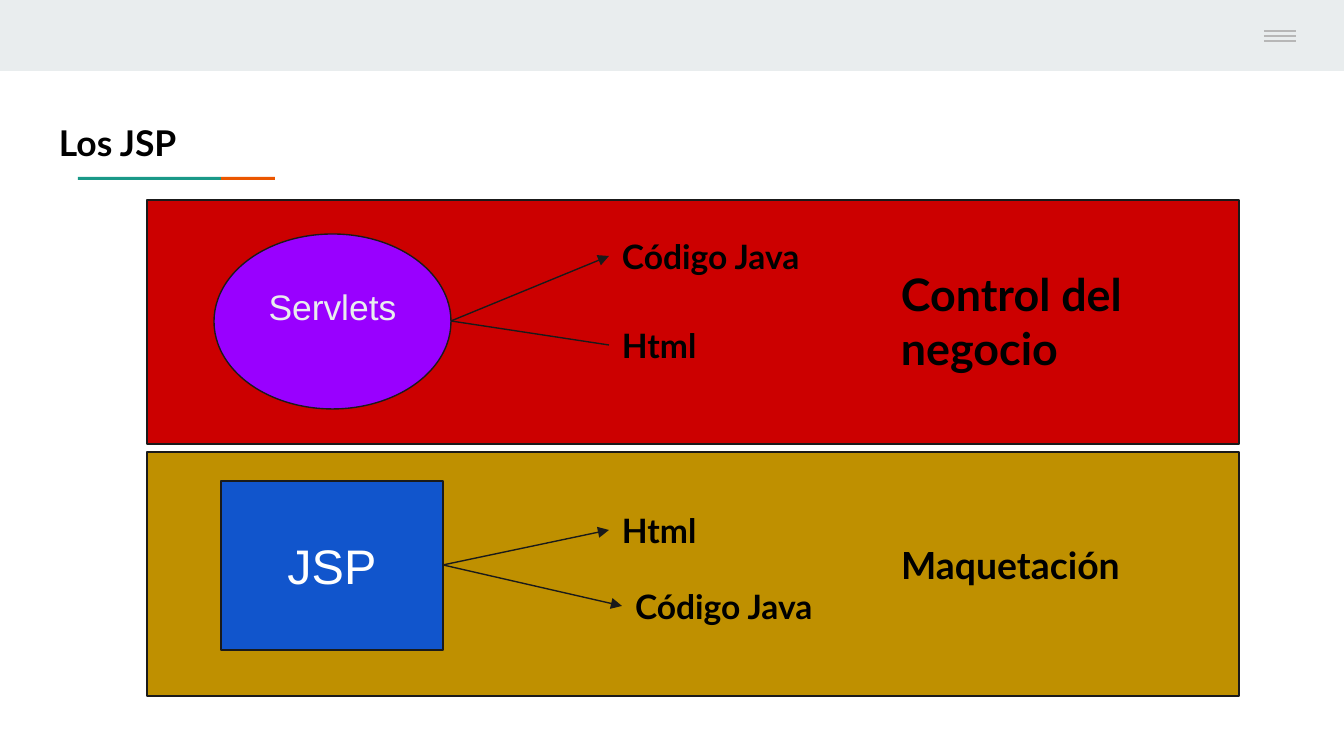
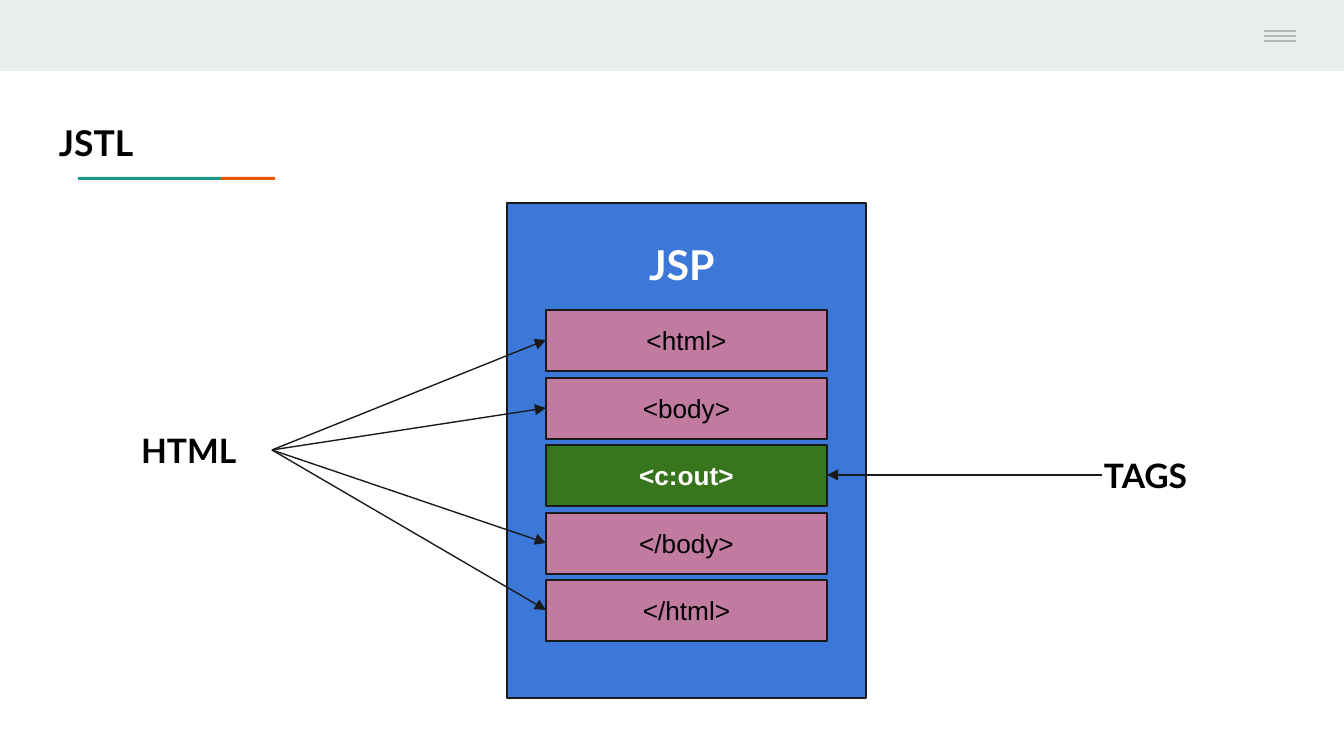
from lxml.etree import SubElement
from pptx import Presentation
from pptx.dml.color import RGBColor
from pptx.enum.shapes import MSO_CONNECTOR, MSO_SHAPE
from pptx.enum.text import MSO_ANCHOR, MSO_AUTO_SIZE, PP_ALIGN
from pptx.oxml.ns import qn
from pptx.util import Pt

EMU_PER_PX = 914400 / 134.4
WIDTH, HEIGHT = 1344, 756
INSET = 13
LABEL_HEIGHT = 67

BAND, MENU, INK = "E9EDEE", "B7B7B7", "1A1A1A"
TEAL, ORANGE = "1A9988", "EB5600"
BLACK, WHITE = "000000", "FFFFFF"
RED, GOLD, PURPLE, NAVY = "CC0000", "BF9000", "9900FF", "1155CC"
BLUE, PINK, GREEN = "3C78D8", "C27BA0", "38761D"


def px(length):
    return round(length * EMU_PER_PX)


def color(value):
    return RGBColor.from_string(value)


def write(shape, text, size=18, font="Lato", ink=BLACK, bold=True,
          align=PP_ALIGN.LEFT, anchor=MSO_ANCHOR.TOP, bottom=INSET):
    frame = shape.text_frame
    frame.word_wrap = True
    frame.auto_size = MSO_AUTO_SIZE.NONE
    frame.vertical_anchor = anchor
    frame.margin_left = frame.margin_right = frame.margin_top = px(INSET)
    frame.margin_bottom = px(bottom)
    para = frame.paragraphs[0]
    para.alignment = align
    span = para.add_run()
    span.text = text
    span.font.name = font
    span.font.size = Pt(size)
    span.font.bold = bold
    span.font.color.rgb = color(ink)


def add_label(page, box, text, **style):
    write(page.shapes.add_textbox(*map(px, box)), text, **style)


def add_block(page, box, fill, outline=INK, kind=MSO_SHAPE.RECTANGLE):
    shape = page.shapes.add_shape(kind, *map(px, box))
    shape.shadow.inherit = False
    shape.fill.solid()
    shape.fill.fore_color.rgb = color(fill)
    if outline:
        shape.line.color.rgb = color(outline)
        shape.line.width = Pt(0.75)
    else:
        shape.line.fill.background()
    return shape


def write_centred(shape, text, **style):
    write(shape, text, font="Arial", align=PP_ALIGN.CENTER,
          anchor=MSO_ANCHOR.MIDDLE, **style)


def add_line(page, start, end, ink=INK, arrow=False):
    line = page.shapes.add_connector(MSO_CONNECTOR.STRAIGHT, *map(px, (*start, *end)))
    line.line.color.rgb = color(ink)
    line.line.width = Pt(0.75)
    if arrow:
        SubElement(line.line._get_or_add_ln(), qn("a:tailEnd"), type="triangle")
    SubElement(line._element.spPr, qn("a:effectLst"))


def add_page(deck, title):
    page = deck.slides.add_slide(deck.slide_layouts[5])
    # Header band with the menu icon
    add_block(page, (0, 0, WIDTH, 71), BAND, outline=None)
    for row in range(3):
        y = 31 + 5 * row
        add_line(page, (1264, y), (1296, y), ink=MENU)
    # Title and its two-colour rule
    heading = page.shapes.title
    heading.left, heading.top, heading.width, heading.height = map(px, (46, 108, 493, 70))
    write(heading, title, size=19)
    add_block(page, (78, 177, 143, 3), TEAL, outline=None)
    add_block(page, (221, 177, 54, 3), ORANGE, outline=None)
    return page


def add_role_panel(page, box, fill, node, outputs, role):
    """Panel with a node on the left, arrows to its outputs and its role."""
    left, top, _, _ = box
    add_block(page, box, fill)

    # Node
    x, y, width, height = node["box"]
    shape = add_block(page, (left + x, top + y, width, height), node["fill"],
                      kind=node["kind"])
    write_centred(shape, node["text"], bold=False, **node["style"])

    # Outputs
    start = (left + x + width, top + y + height // 2)
    for text, label_x, middle, arrow in outputs:
        end = (left + label_x, top + middle)
        add_label(page, (end[0], end[1] - LABEL_HEIGHT // 2, 210, LABEL_HEIGHT), text)
        add_line(page, start, end, arrow=arrow)

    # Role
    text, y, width, height, size = role
    add_label(page, (left + 741, top + y, width, height), text, size=size)


def build_jsp_page(deck):
    page = add_page(deck, "Los JSP")
    servlets = dict(text="Servlets", box=(67, 34, 237, 175), fill=PURPLE,
                    kind=MSO_SHAPE.OVAL, style=dict(size=19, ink=BAND, bottom=43))
    jsp = dict(text="JSP", box=(74, 29, 222, 169), fill=NAVY,
               kind=MSO_SHAPE.RECTANGLE, style=dict(size=26, ink=WHITE))
    add_role_panel(page, (147, 200, 1092, 244), RED, servlets,
                   [("Código Java", 462, 56, True), ("Html", 462, 145, False)],
                   ("Control del negocio", 54, 401, 136, 24))
    add_role_panel(page, (147, 452, 1092, 244), GOLD, jsp,
                   [("Html", 462, 78, True), ("Código Java", 475, 154, True)],
                   ("Maquetación", 77, 253, 73, 20))


def add_tag_stack(page, box, tags, custom):
    """JSP file with one bar per tag; returns each bar's box by its tag."""
    left, top, _, _ = box
    add_block(page, box, BLUE)
    add_label(page, (left + 129, top + 23, 101, 126), "JSP", size=22, ink=WHITE)
    bars = {}
    for index, tag in enumerate(tags):
        y = top + 107 + round(67.6 * index)
        bars[tag] = (left + 39, y, 281, 61)
        special = tag == custom
        bar = add_block(page, bars[tag], GREEN if special else PINK)
        write_centred(bar, tag, size=14, bold=special, ink=WHITE if special else BLACK)
    return bars


def build_jstl_page(deck):
    page = add_page(deck, "JSTL")
    custom = "<c:out>"
    tags = ["<html>", "<body>", custom, "</body>", "</html>"]
    bars = add_tag_stack(page, (507, 203, 359, 495), tags, custom)

    # Sources of the tags
    add_label(page, (128, 417, 144, LABEL_HEIGHT), "HTML")
    add_label(page, (1091, 442, 114, LABEL_HEIGHT), "TAGS")
    for tag, (x, y, width, height) in bars.items():
        middle = y + height // 2
        if tag == custom:
            add_line(page, (1102, middle), (x + width, middle), arrow=True)
        else:
            add_line(page, (272, 450), (x, middle), arrow=True)


def main():
    deck = Presentation()
    deck.slide_width, deck.slide_height = px(WIDTH), px(HEIGHT)
    build_jsp_page(deck)
    build_jstl_page(deck)
    deck.save("out.pptx")


if __name__ == "__main__":
    main()
